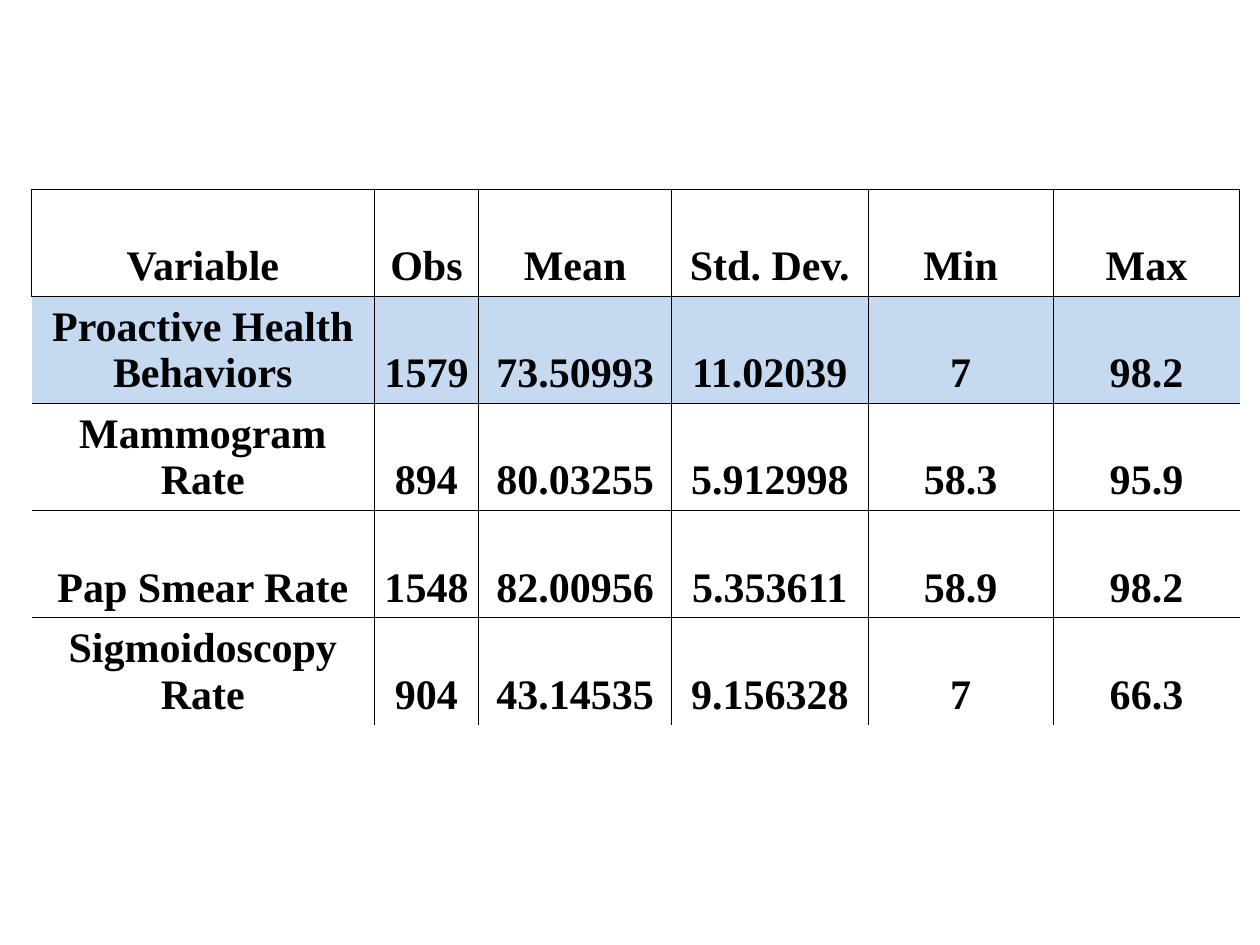
"""Build a slide with a summary statistics table of health screening rates."""
import pptx
import pptx.dml.color
import pptx.enum.text
import pptx.util
from lxml import etree
from pptx.oxml.ns import qn

Inches = pptx.util.Inches
Pt = pptx.util.Pt

BLACK = pptx.dml.color.RGBColor(0x00, 0x00, 0x00)
LIGHT_BLUE = pptx.dml.color.RGBColor(0xC5, 0xD9, 0xF1)

STATISTICS = [
    ("Variable", "Obs", "Mean", "Std. Dev.", "Min", "Max"),
    ("Proactive Health Behaviors", "1579", "73.50993", "11.02039", "7", "98.2"),
    ("Mammogram Rate", "894", "80.03255", "5.912998", "58.3", "95.9"),
    ("Pap Smear Rate", "1548", "82.00956", "5.353611", "58.9", "98.2"),
    ("Sigmoidoscopy Rate", "904", "43.14535", "9.156328", "7", "66.3"),
]
COLUMN_WIDTHS = [2.72, 0.83, 1.53, 1.56, 1.47, 1.48]
ROW_HEIGHT = 0.85
HIGHLIGHTED_ROW = 1


def draw_borders(cell, visible_sides):
    for side in "LRTB":
        border = etree.SubElement(
            cell._tc.get_or_add_tcPr(), qn(f"a:ln{side}"), w=str(Pt(0.45))
        )
        if side in visible_sides:
            paint = etree.SubElement(border, qn("a:solidFill"))
            etree.SubElement(paint, qn("a:srgbClr"), val=str(BLACK))
        else:
            etree.SubElement(border, qn("a:noFill"))


def sides_of(row, column):
    sides = "T"
    if row < len(STATISTICS) - 1:
        sides += "B"
    if row == 0 or column > 0:
        sides += "L"
    if row == 0 or column < len(COLUMN_WIDTHS) - 1:
        sides += "R"
    return sides


def fill_cell(cell, text, highlighted):
    cell.margin_left = cell.margin_right = Inches(0.01)
    cell.margin_top = cell.margin_bottom = Inches(0.05)
    cell.vertical_anchor = pptx.enum.text.MSO_ANCHOR.BOTTOM
    cell.text = text
    paragraph = cell.text_frame.paragraphs[0]
    paragraph.alignment = pptx.enum.text.PP_ALIGN.CENTER
    paragraph.font.name = "Times New Roman"
    paragraph.font.size = Pt(24)
    paragraph.font.bold = True
    paragraph.font.color.rgb = BLACK
    if highlighted:
        cell.fill.solid()
        cell.fill.fore_color.rgb = LIGHT_BLUE
    else:
        cell.fill.background()


def main():
    presentation = pptx.Presentation()
    presentation.slide_width = Inches(10)
    presentation.slide_height = Inches(7.5)
    slide = presentation.slides.add_slide(presentation.slide_layouts[6])
    summary = slide.shapes.add_table(
        len(STATISTICS), len(COLUMN_WIDTHS), Inches(0.25), Inches(1.5),
        Inches(sum(COLUMN_WIDTHS)), Inches(ROW_HEIGHT * len(STATISTICS)),
    ).table
    summary.first_row = False
    summary.horz_banding = False
    for column, width in zip(summary.columns, COLUMN_WIDTHS):
        column.width = Inches(width)
    for row, values in enumerate(STATISTICS):
        summary.rows[row].height = Inches(ROW_HEIGHT)
        for column, value in enumerate(values):
            cell = summary.cell(row, column)
            draw_borders(cell, sides_of(row, column))
            fill_cell(cell, value, row == HIGHLIGHTED_ROW)
    presentation.save("out.pptx")


if __name__ == "__main__":
    main()
